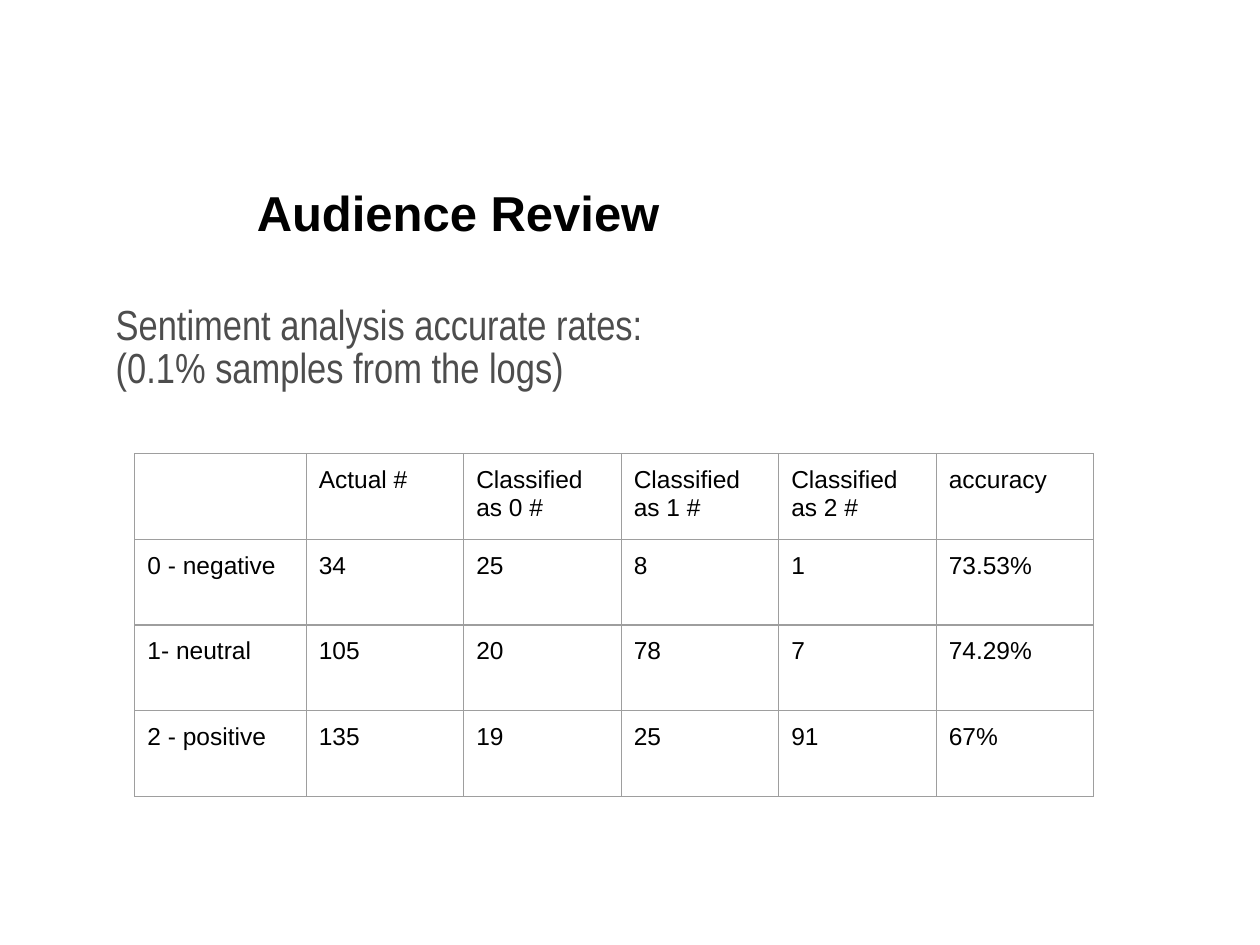
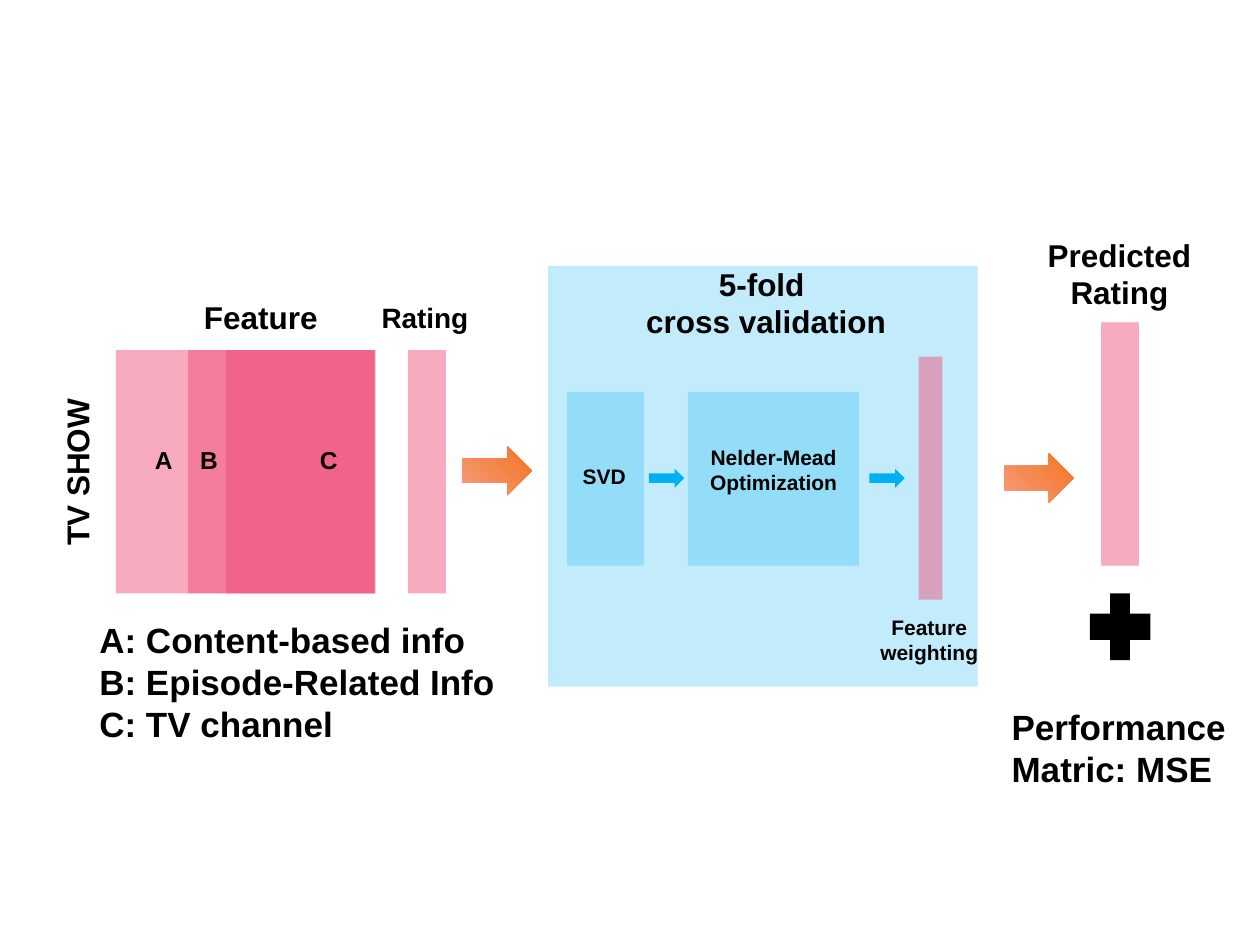
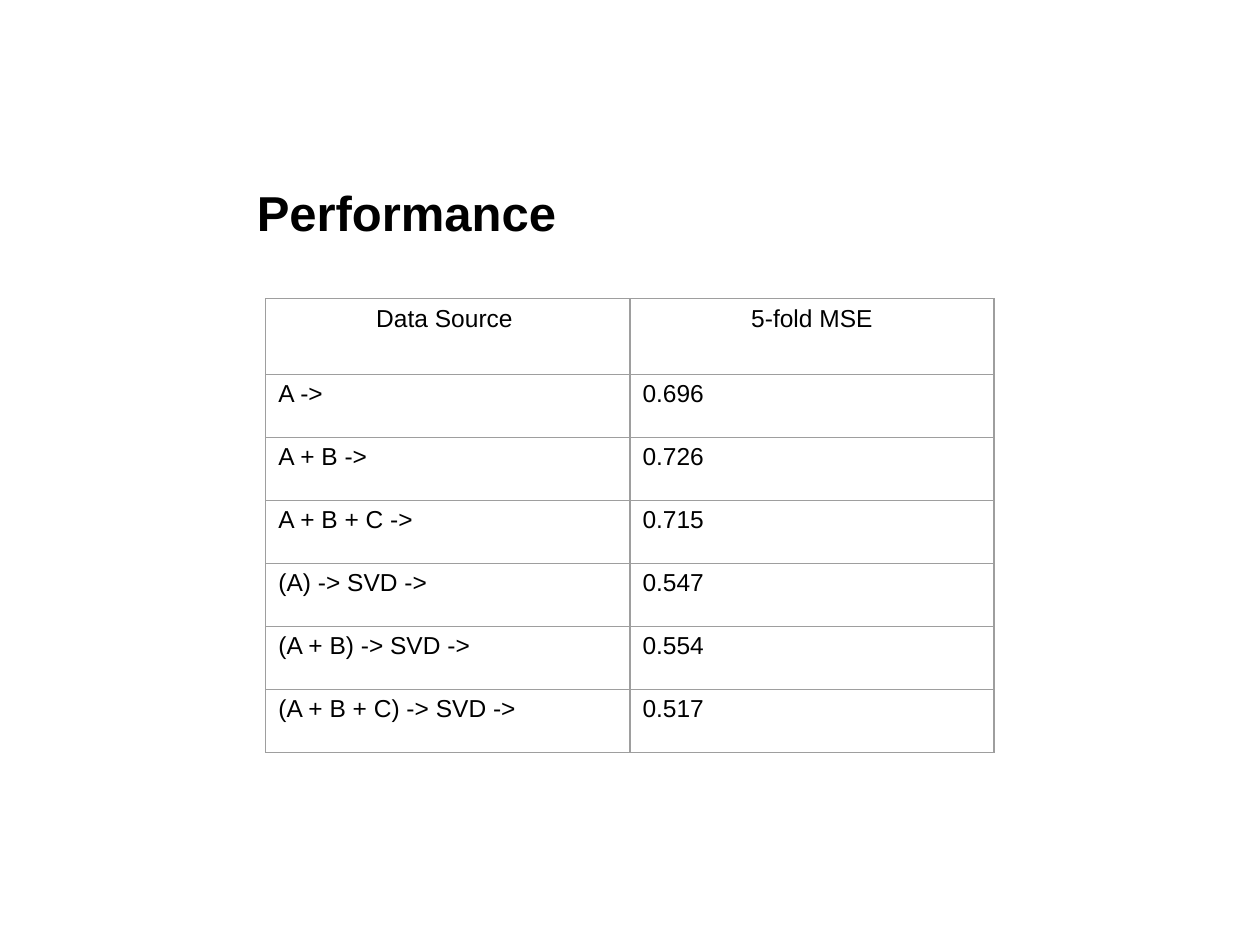
"""Build three slides on audience review, rating prediction and performance."""
from dataclasses import dataclass
from typing import Any, Optional

from lxml import etree
from pptx import Presentation
from pptx import util as u
from pptx.dml.color import RGBColor
from pptx.enum import shapes, text
from pptx.oxml.ns import qn

BLACK = RGBColor(0x00, 0x00, 0x00)
GREY = RGBColor(0x4D, 0x4D, 0x4D)
RULE = RGBColor(0x9E, 0x9E, 0x9E)
PINK = RGBColor(0xF1, 0x45, 0x73)
BLUE = RGBColor(0x00, 0xB0, 0xF0)
PEACH = RGBColor(0xF5, 0x9C, 0x7D)
ORANGE = RGBColor(0xF3, 0x74, 0x21)

RECT = shapes.MSO_SHAPE.RECTANGLE
ARROW = shapes.MSO_SHAPE.RIGHT_ARROW
PLUS = shapes.MSO_SHAPE.CROSS
LEFT = text.PP_ALIGN.LEFT
CENTER = text.PP_ALIGN.CENTER
TOP = text.MSO_ANCHOR.TOP
BOTTOM = text.MSO_ANCHOR.BOTTOM

BAND_TOP, BAND_HEIGHT = 2.78, 1.93
PINK_ALPHA, BLUE_ALPHA = 45, 24


@dataclass(frozen=True)
class Area:
    """Position and size in inches."""
    left: float
    top: float
    width: float
    height: float

    def lengths(self) -> list[u.Length]:
        """Return the four lengths in the order shape methods expect."""
        return [u.Inches(n) for n in (self.left, self.top, self.width, self.height)]


@dataclass(frozen=True)
class Style:
    """Look of a text."""
    size: int
    bold: bool = True
    name: str = "Arial"
    color: RGBColor = BLACK
    align: Any = LEFT
    spacing: Optional[float] = None


@dataclass(frozen=True)
class Label:
    """Lines of text at a place."""
    area: Area
    lines: tuple[str, ...]
    style: Style
    rotation: int = 0


@dataclass(frozen=True)
class Block:
    """Filled preset shape; a second colour makes a gradient."""
    area: Area
    color: RGBColor
    alpha: int = 100
    kind: Any = RECT
    end_color: Optional[RGBColor] = None
    adjustment: Optional[float] = None


@dataclass(frozen=True)
class Grid:
    """Table with its column widths, row heights and cell texts."""
    left: float
    top: float
    columns: tuple[float, ...]
    heights: tuple[float, ...]
    rows: tuple[tuple[str, ...], ...]
    margin: float
    header_align: Any = LEFT


TITLE = Style(28, spacing=0.85)
BODY = Style(24, bold=False, name="Arial Narrow", color=GREY, spacing=0.85)
CELL = Style(14, bold=False)
LETTER = Style(14)
NOTE = Style(20)
HEADING = Style(18)
CENTERED = Style(18, align=CENTER)
SMALL = Style(12, align=CENTER)


def set_all(target: Any, values: dict[str, Any]) -> None:
    """Set each named attribute on the target."""
    for name, value in values.items():
        setattr(target, name, value)


def write_lines(frame: Any, lines: tuple[str, ...], style: Style) -> None:
    """Write one styled paragraph per line."""
    for index, line in enumerate(lines):
        para = frame.add_paragraph() if index else frame.paragraphs[0]
        set_all(para, {"alignment": style.align, "line_spacing": style.spacing})
        span = para.add_run()
        span.text = line
        set_all(span.font, {"size": u.Pt(style.size), "bold": style.bold, "name": style.name})
        span.font.color.rgb = style.color


def add_text(page: Any, label: Label, margin: float = 0.05, side: float = 0,
             anchor: Any = TOP) -> None:
    """Add a text box, with a left margin only for left-aligned text."""
    box = page.shapes.add_textbox(*label.area.lengths())
    box.rotation = label.rotation
    left = 0 if label.style.align == CENTER else 0.1
    set_all(box.text_frame, {
        "word_wrap": True, "vertical_anchor": anchor,
        "margin_left": u.Inches(left), "margin_right": u.Inches(side),
        "margin_top": u.Inches(margin), "margin_bottom": u.Inches(margin)})
    write_lines(box.text_frame, label.lines, label.style)


def add_title(page: Any, title: str) -> None:
    """Add the shared slide title."""
    add_text(page, Label(Area(1.94, 1.25, 7.36, 0.77), (title,), TITLE), 0.1, 0.1, BOTTOM)


def add_block(page: Any, block: Block) -> None:
    """Add a borderless filled shape."""
    shape = page.shapes.add_shape(block.kind, *block.area.lengths())
    shape.shadow.inherit = False
    shape.line.fill.background()
    if block.adjustment is not None:
        shape.adjustments[0] = block.adjustment
    if block.end_color is not None:
        shape.fill.gradient()
        shape.fill.gradient_angle = 45
        for stop, color in zip(shape.fill.gradient_stops, (block.color, block.end_color)):
            stop.color.rgb = color
        return
    shape.fill.solid()
    shape.fill.fore_color.rgb = block.color
    if block.alpha < 100:
        color = shape.element.spPr.find(f"{qn('a:solidFill')}/{qn('a:srgbClr')}")
        etree.SubElement(color, qn("a:alpha"), val=str(block.alpha * 1000))


def add_borders(cell: Any) -> None:
    """Draw a thin grey line on each side of a cell."""
    properties = cell._tc.get_or_add_tcPr()
    for index, side in enumerate(("a:lnL", "a:lnR", "a:lnT", "a:lnB")):
        line = etree.Element(qn(side), w=str(u.Pt(0.75)))
        fill = etree.SubElement(line, qn("a:solidFill"))
        etree.SubElement(fill, qn("a:srgbClr"), val=str(RULE))
        properties.insert(index, line)


def add_grid(page: Any, grid: Grid) -> None:
    """Add a plain ruled table."""
    area = Area(grid.left, grid.top, sum(grid.columns), sum(grid.heights))
    table = page.shapes.add_table(len(grid.rows), len(grid.columns), *area.lengths()).table
    set_all(table, {"first_row": False, "horz_banding": False})
    for column, width in zip(table.columns, grid.columns):
        column.width = u.Inches(width)
    for row, height in zip(table.rows, grid.heights):
        row.height = u.Inches(height)
    header = Style(CELL.size, bold=False, align=grid.header_align)
    for r, texts in enumerate(grid.rows):
        for c, content in enumerate(texts):
            cell = table.cell(r, c)
            set_all(cell, {
                "margin_left": u.Inches(0.1), "margin_right": u.Inches(0.1),
                "margin_top": u.Inches(grid.margin), "margin_bottom": u.Inches(grid.margin)})
            cell.fill.background()
            add_borders(cell)
            if content:
                write_lines(cell.text_frame, (content,), CELL if r else header)


def pink_bar(left: float, width: float, top: float = BAND_TOP) -> Block:
    """Return a translucent pink bar of the shared height."""
    return Block(Area(left, top, width, BAND_HEIGHT), PINK, PINK_ALPHA)


def blue_panel(left: float, top: float, width: float, height: float) -> Block:
    """Return a translucent blue panel."""
    return Block(Area(left, top, width, height), BLUE, BLUE_ALPHA)


def stage_arrow(left: float, top: float) -> Block:
    """Return a large orange arrow between stages."""
    return Block(Area(left, top, 0.55, 0.39), PEACH, kind=ARROW, end_color=ORANGE)


def step_arrow(left: float) -> Block:
    """Return a small blue arrow between steps."""
    return Block(Area(left, 3.72, 0.28, 0.15), BLUE, kind=ARROW)


REVIEW_GRID = Grid(1.07, 3.6, (1.36,) + (1.25,) * 5, (0.68,) * 4, (
    ("", "Actual #", "Classified as 0 #", "Classified as 1 #", "Classified as 2 #", "accuracy"),
    ("0 - negative", "34", "25", "8", "1", "73.53%"),
    ("1- neutral", "105", "20", "78", "7", "74.29%"),
    ("2 - positive", "135", "19", "25", "91", "67%"),
), 0.1)

PERFORMANCE_GRID = Grid(2.11, 2.37, (2.89,) * 2, (0.6,) + (0.5,) * 6, (
    ("Data Source ", "5-fold MSE"),
    ("A ->", "0.696"),
    ("A + B ->", "0.726"),
    ("A + B + C ->", "0.715"),
    ("(A) -> SVD ->", "0.547"),
    ("(A + B) -> SVD ->", "0.554"),
    ("(A + B + C) -> SVD ->", "0.517"),
), 0.05, CENTER)

MODEL_BLOCKS = (
    pink_bar(0.92, 2.06),
    pink_bar(1.49, 1.49),
    pink_bar(1.79, 1.18),
    pink_bar(3.24, 0.3),
    stage_arrow(3.67, 3.54),
    pink_bar(8.74, 0.3, 2.56),
    Block(Area(8.65, 4.71, 0.48, 0.53), BLACK, kind=PLUS, adjustment=0.337),
    blue_panel(4.35, 2.11, 3.41, 3.34),
    stage_arrow(7.97, 3.6),
    blue_panel(4.5, 3.11, 0.61, 1.38),
    blue_panel(5.46, 3.11, 1.36, 1.38),
    pink_bar(7.29, 0.19, 2.83),
    step_arrow(5.15),
    step_arrow(6.9),
)

MODEL_LABELS = (
    Label(Area(2.93, 2.34, 0.9, 0.37), ("Rating",), Style(16)),
    Label(Area(1.52, 2.32, 1.11, 0.4), ("Feature",), HEADING),
    Label(Area(-0.08, 3.54, 1.38, 0.4), ("TV SHOW",), HEADING, 270),
    Label(Area(0.69, 4.86, 3.36, 1.11),
          ("A: Content-based info", "B: Episode-Related Info", "C: TV channel"), NOTE),
    *(Label(Area(left, 3.48, 0.45, 0.5), (letter,), LETTER)
      for letter, left in (("A", 1.13), ("B", 1.49), ("C", 2.44))),
    Label(Area(8.21, 1.82, 1.35, 0.71), ("Predicted", "Rating"), CENTERED),
    Label(Area(7.93, 5.55, 1.92, 0.77), ("Performance", "Matric: MSE"), NOTE),
    Label(Area(5.02, 2.05, 2.12, 0.71), ("5-fold ", "cross validation"), CENTERED),
    Label(Area(4.52, 3.63, 0.55, 0.3), ("SVD",), SMALL),
    Label(Area(5.53, 3.48, 1.22, 0.5), ("Nelder-Mead", "Optimization"), SMALL),
    Label(Area(6.88, 4.83, 0.99, 0.5), ("Feature", "weighting"), SMALL),
)


def build_review(page: Any) -> None:
    """Fill the audience review slide."""
    lines = ("Sentiment analysis accurate rates:", "(0.1% samples from the logs)")
    add_text(page, Label(Area(0.82, 2.33, 8.45, 4.27), lines, BODY), 0.1, 0.1)
    add_title(page, "Audience Review")
    add_grid(page, REVIEW_GRID)


def build_model(page: Any) -> None:
    """Fill the rating prediction slide."""
    for block in MODEL_BLOCKS:
        add_block(page, block)
    for label in MODEL_LABELS:
        add_text(page, label)


def build_performance(page: Any) -> None:
    """Fill the performance slide."""
    add_grid(page, PERFORMANCE_GRID)
    add_title(page, "Performance")


def main() -> None:
    """Build and save the deck."""
    deck = Presentation()
    set_all(deck, {"slide_width": u.Inches(10), "slide_height": u.Inches(7.5)})
    for build in (build_review, build_model, build_performance):
        build(deck.slides.add_slide(deck.slide_layouts[6]))
    deck.save("out.pptx")


if __name__ == "__main__":
    main()
